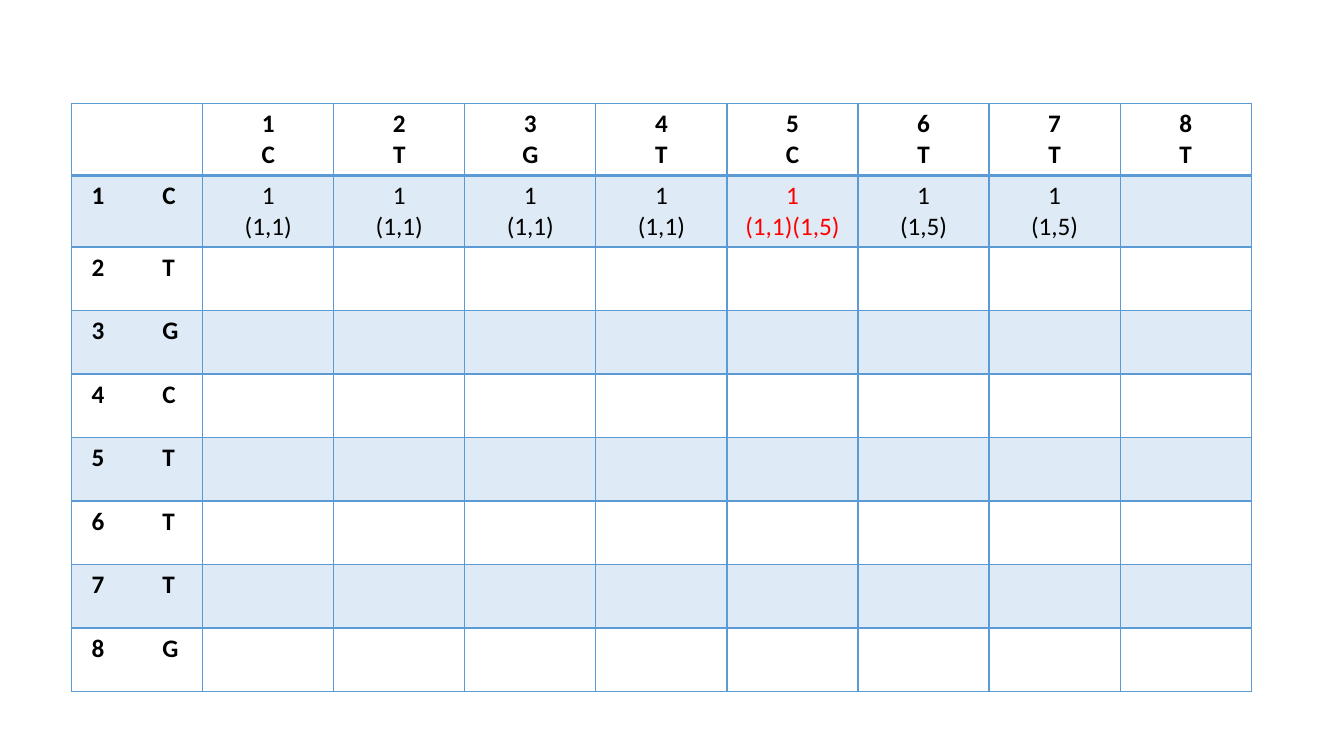
from pptx import Presentation
from pptx.dml.color import RGBColor
from pptx.enum.text import PP_ALIGN
from pptx.oxml import parse_xml
from pptx.oxml.ns import nsdecls, qn
from pptx.util import Inches, Pt

CENTER, LEFT = PP_ALIGN.CENTER, PP_ALIGN.LEFT

BLUE, BLACK, RED = "5B9BD5", "000000", "FF0000"
BAND_OPACITY = 20
COLUMN_WIDTH = 1.3
TALL_ROW, PLAIN_ROW = 0.71, 0.63
TABLE_LEFT, TABLE_TOP = 0.71, 1.03
LABEL_INSET, LABEL_TAB = 0.2, 0.7

COLUMN_LETTERS = "CTGTCTTT"
ROW_LETTERS = "CTGCTTTG"
FIRST_ROW_PAIRS = ["(1,1)"] * 4 + ["(1,1)(1,5)"] + ["(1,5)"] * 2
HIGHLIGHTED_COLUMN = 5


def color(hex_value):
    return RGBColor.from_string(hex_value)


class AlignmentSlide:
    """Holds the text style and the current slide."""

    def __init__(self, presentation):
        self.slide = presentation.slides.add_slide(presentation.slide_layouts[6])
        self.font_format = {"name": "Calibri", "size": Pt(18)}

    def add_grid(self, row_heights, column_count):
        frame = self.slide.shapes.add_table(
            len(row_heights), column_count,
            Inches(TABLE_LEFT), Inches(TABLE_TOP),
            Inches(COLUMN_WIDTH * column_count), Inches(sum(row_heights)))
        table = frame.table
        table.first_row = table.horz_banding = False
        for column in table.columns:
            column.width = Inches(COLUMN_WIDTH)
        for row, height in zip(table.rows, row_heights):
            row.height = Inches(height)
        return table

    def style_cell(self, cell, banded, bottom_width=1):
        properties = cell._tc.get_or_add_tcPr()
        for side, width in {"L": 1, "R": 1, "T": 1, "B": bottom_width}.items():
            properties.append(parse_xml(
                f'<a:ln{side} {nsdecls("a")} w="{Pt(width)}"><a:solidFill>'
                f'<a:srgbClr val="{BLUE}"/></a:solidFill></a:ln{side}>'))
        if not banded:
            cell.fill.background()
            return
        cell.fill.solid()
        cell.fill.fore_color.rgb = color(BLUE)
        fill_color = properties.find(qn("a:solidFill")).find(qn("a:srgbClr"))
        fill_color.append(parse_xml(
            f'<a:alpha {nsdecls("a")} val="{BAND_OPACITY * 1000}"/>'))

    def add_cell_text(self, cell, lines, bold=False, text_color=BLACK, align=CENTER):
        text_frame = cell.text_frame
        for index, line in enumerate(lines):
            paragraph = text_frame.add_paragraph() if index else text_frame.paragraphs[0]
            paragraph.alignment = align
            run = paragraph.add_run()
            run.text = line
            for name, value in {**self.font_format, "bold": bold}.items():
                setattr(run.font, name, value)
            run.font.color.rgb = color(text_color)

    def add_row_label(self, cell, number, letter):
        cell.margin_left = Inches(LABEL_INSET)
        paragraph = cell.text_frame.paragraphs[0]
        paragraph._p.get_or_add_pPr().append(parse_xml(
            f'<a:tabLst {nsdecls("a")}>'
            f'<a:tab pos="{Inches(LABEL_TAB)}" algn="l"/></a:tabLst>'))
        self.add_cell_text(cell, [f"{number}\t{letter}"], bold=True, align=LEFT)


def main():
    presentation = Presentation()
    presentation.slide_width = Inches(13.33)
    presentation.slide_height = Inches(7.5)
    page = AlignmentSlide(presentation)

    # Grid with borders and banded rows
    row_heights = [TALL_ROW] * 2 + [PLAIN_ROW] * (len(ROW_LETTERS) - 1)
    table = page.add_grid(row_heights, len(COLUMN_LETTERS) + 1)
    for row_index, row in enumerate(table.rows):
        for cell in row.cells:
            page.style_cell(cell, banded=row_index % 2 == 1,
                            bottom_width=1 if row_index else 2)

    # Sequence labels along the top and the left
    for number, letter in enumerate(COLUMN_LETTERS, 1):
        page.add_cell_text(table.cell(0, number), [str(number), letter], bold=True)
    for number, letter in enumerate(ROW_LETTERS, 1):
        page.add_row_label(table.cell(number, 0), number, letter)

    # Scores of the first row
    for number, pairs in enumerate(FIRST_ROW_PAIRS, 1):
        text_color = RED if number == HIGHLIGHTED_COLUMN else BLACK
        page.add_cell_text(table.cell(1, number), ["1", pairs], text_color=text_color)

    presentation.save("out.pptx")


if __name__ == "__main__":
    main()
